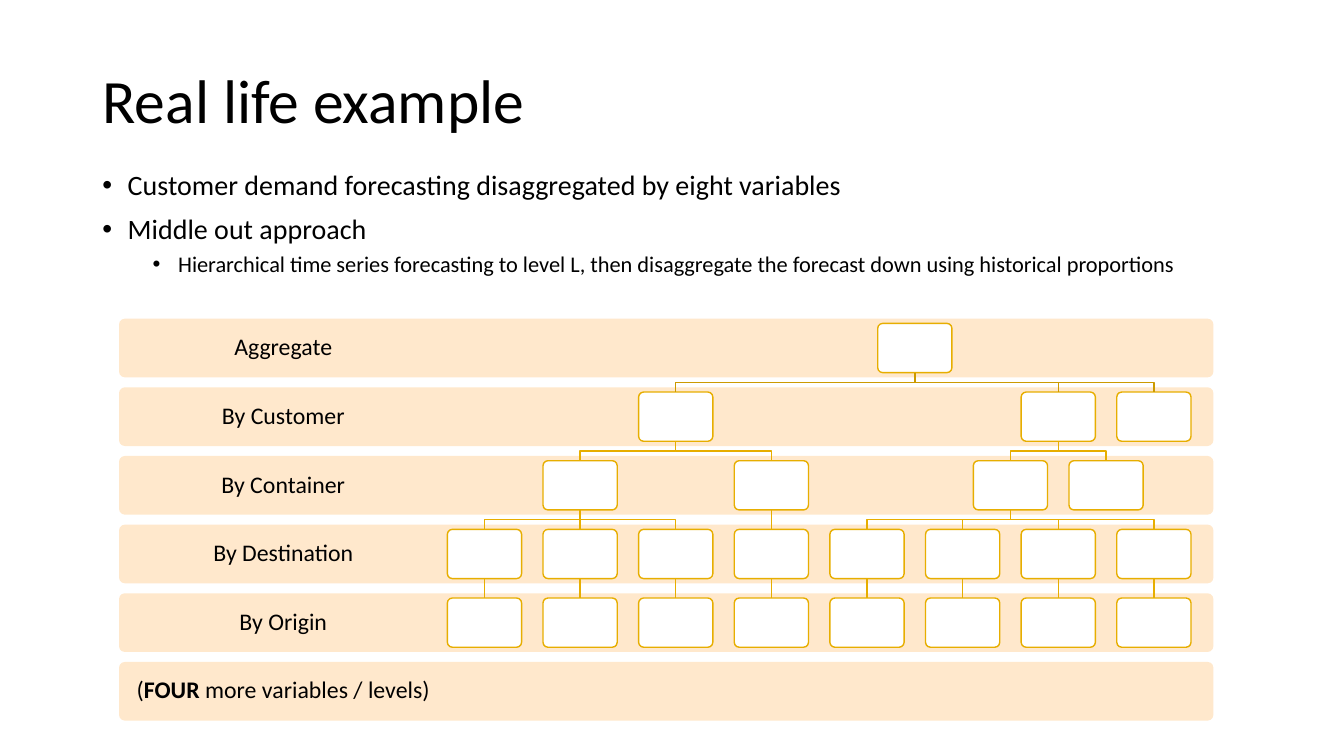
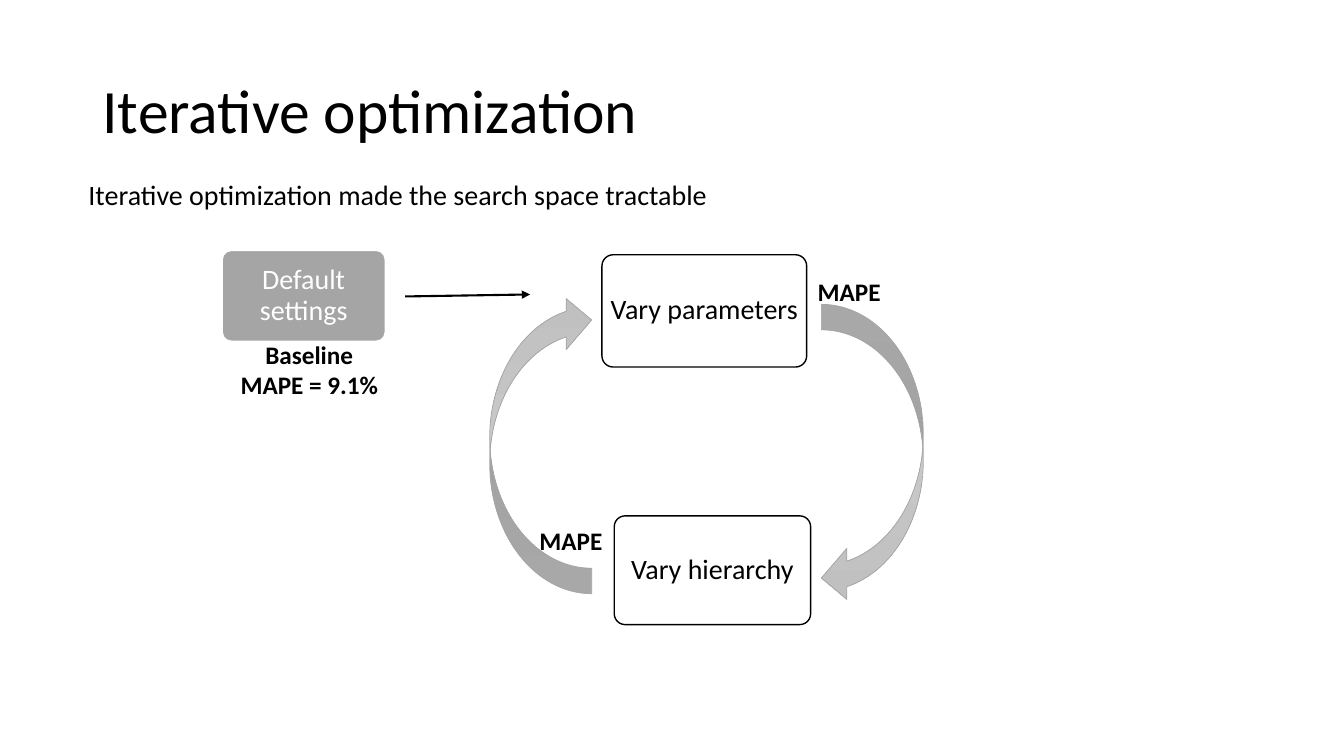
from lxml import etree
from pptx import Presentation
from pptx import util as u
from pptx.dml.color import RGBColor
from pptx.enum import shapes, text
from pptx.oxml import ns

Cm, Pt = u.Cm, u.Pt
FONT = "Calibri"
COLORS = {
    "ink": "000000", "paper": "FFFFFF", "band": "FFE8CC", "gold": "E7AE00",
    "dark_gold": "CC9A00", "gray": "A5A5A5", "light": "D2D2D2", "mid": "C0C0C0",
}

# Each level: label, then node column -> parent column on the level above
LEVELS = [
    ("Aggregate", {4.5: None}),
    ("By Customer", {2: 4.5, 6: 4.5, 7: 4.5}),
    ("By Container", {1: 2, 3: 2, 5.5: 6, 6.5: 6}),
    ("By Destination", {0: 1, 1: 1, 2: 1, 3: 3, 4: 5.5, 5: 5.5, 6: 5.5, 7: 5.5}),
    ("By Origin", {col: col for col in range(8)}),
]
BULLETS = [
    (0, "Customer demand forecasting disaggregated by eight variables"),
    (0, "Middle out approach"),
    (1, "Hierarchical time series forecasting to level L, then disaggregate "
        "the forecast down using historical proportions"),
]

# Hierarchy grid, in cm
BAND = {"left": 3, "top": 8.03, "width": 27.58, "height": 1.48, "pitch": 1.73}
LABEL_WIDTH = 8.28
NODE = {"center": 12.21, "pitch": 2.41, "width": 1.87, "height": 1.24, "drop": 0.12}


# Shared formatting
def rgb(name):
    return RGBColor.from_string(COLORS[name])


def apply(obj, values):
    for key, value in values.items():
        setattr(obj, key, value)


def add_run(p, words, size, color="ink", bold=False):
    r = p.add_run()
    r.text = words
    apply(r.font, {"name": FONT, "size": Pt(size), "bold": bold})
    r.font.color.rgb = rgb(color)


def set_line(sp, color, width=1):
    sp.line.color.rgb = rgb(color)
    sp.line.width = Pt(width)


def add_title_slide(prs, title, height):
    s = prs.slides.add_slide(prs.slide_layouts[5])
    sp = s.shapes.title
    apply(sp, {"left": Cm(2.33), "top": Cm(1.02),
               "width": Cm(29.21), "height": Cm(height)})
    tf = sp.text_frame
    apply(tf, {"vertical_anchor": text.MSO_ANCHOR.MIDDLE, "word_wrap": True,
               "auto_size": text.MSO_AUTO_SIZE.NONE})
    p = tf.paragraphs[0]
    apply(p, {"alignment": text.PP_ALIGN.LEFT, "line_spacing": 0.9})
    add_run(p, title, 44)
    return s


def add_textbox(s, left, top, width, height, wrap=True):
    tf = s.shapes.add_textbox(Cm(left), Cm(top), Cm(width), Cm(height)).text_frame
    tf.word_wrap = wrap
    return tf


def add_bullets(s, items, left, top, width, height):
    tf = add_textbox(s, left, top, width, height)
    for i, (level, words) in enumerate(items):
        p = tf.add_paragraph() if i else tf.paragraphs[0]
        pPr = p._p.get_or_add_pPr()
        pPr.set("marL", str(Cm(0.64 + 1.27 * level)))
        pPr.set("indent", str(-Cm(0.64)))
        etree.SubElement(pPr, ns.qn("a:buFont")).set("typeface", "Arial")
        etree.SubElement(pPr, ns.qn("a:buChar")).set("char", "•")
        apply(p, {"level": level, "line_spacing": 0.9})
        if i:
            p.space_before = Pt(5 if level else 10)
        add_run(p, words, 16 if level else 20)


def add_caption(s, lines, left, top, width, height):
    tf = add_textbox(s, left, top, width, height, wrap=False)
    for i, words in enumerate(lines):
        p = tf.add_paragraph() if i else tf.paragraphs[0]
        p.alignment = text.PP_ALIGN.CENTER
        add_run(p, words, 18, bold=True)


def add_round_box(s, left, top, width, height, fill, line=None, runs=(),
                  size=20, color="ink", margin=0.05, right=None):
    """Rounded box with centred text; runs are (words, bold) pairs."""
    sp = s.shapes.add_shape(shapes.MSO_SHAPE.ROUNDED_RECTANGLE,
                            Cm(left), Cm(top), Cm(width), Cm(height))
    sp.adjustments[0] = 0.1
    sp.shadow.inherit = False
    sp.fill.solid()
    sp.fill.fore_color.rgb = rgb(fill)
    if line:
        set_line(sp, line)
    else:
        sp.line.fill.background()
    tf = sp.text_frame
    apply(tf, {"word_wrap": True, "vertical_anchor": text.MSO_ANCHOR.MIDDLE,
               "margin_left": Cm(margin), "margin_right": Cm(right or margin),
               "margin_top": Cm(margin), "margin_bottom": Cm(margin)})
    p = tf.paragraphs[0]
    apply(p, {"alignment": text.PP_ALIGN.CENTER, "line_spacing": 0.9})
    for words, bold in runs:
        add_run(p, words, size, color, bold)
    return sp


def add_line(s, x1, y1, x2, y2, color, width):
    line = s.shapes.add_connector(shapes.MSO_CONNECTOR.STRAIGHT, x1, y1, x2, y2)
    set_line(line, color, width)
    etree.SubElement(line._element.spPr, ns.qn("a:effectLst"))
    return line


# Hierarchy parts
def add_band(s, row, runs):
    add_round_box(s, BAND["left"], BAND["top"] + row * BAND["pitch"],
                  BAND["width"], BAND["height"], "band", runs=runs, size=17,
                  margin=0.33, right=BAND["width"] - LABEL_WIDTH + 0.33)


def add_node(s, row, col):
    left = NODE["center"] + col * NODE["pitch"] - NODE["width"] / 2
    top = BAND["top"] + row * BAND["pitch"] + NODE["drop"]
    return add_round_box(s, left, top, NODE["width"], NODE["height"], "paper", "gold")


def add_link(s, parent, child, color):
    x1, y1 = parent.left + parent.width // 2, parent.top + parent.height
    x2, y2 = child.left + child.width // 2, child.top
    if abs(x1 - x2) < Cm(0.01):
        line = add_line(s, x1, y1, x2, y2, color, 1)
        line.begin_connect(parent, 2)
        line.end_connect(child, 0)
        return
    middle = (y1 + y2) // 2
    outline = s.shapes.build_freeform(x1, y1)
    outline.add_line_segments([(x1, middle), (x2, middle), (x2, y2)], close=False)
    sp = outline.convert_to_shape()
    sp.fill.background()
    sp.shadow.inherit = False
    set_line(sp, color)


# Cycle parts
def add_curved_arrow(s, left, top, rotation=0):
    sp = s.shapes.add_shape(shapes.MSO_SHAPE.CURVED_LEFT_ARROW,
                            Cm(left), Cm(top), Cm(2.57), Cm(7.54))
    sp.rotation = rotation
    sp.shadow.inherit = False
    sp.fill.gradient()
    sp.fill.gradient_angle = 270
    for stop, color in zip(sp.fill.gradient_stops, ("light", "mid")):
        stop.color.rgb = rgb(color)
    set_line(sp, "gray", 0.5)


# Slides
def build_hierarchy(prs):
    s = add_title_slide(prs, "Real life example", 3.18)
    add_bullets(s, BULLETS, 2.33, 4.19, 29.21, 3.23)
    for row, (label, _) in enumerate(LEVELS):
        add_band(s, row, [(label, False)])
    add_band(s, len(LEVELS), [("(", False), ("FOUR", True),
                              (" more variables / levels)", False)])
    parents = {}
    for row, (_, links) in enumerate(LEVELS):
        nodes = {col: add_node(s, row, col) for col in links}
        for col, parent in links.items():
            if parent is not None:
                add_link(s, parents[parent], nodes[col],
                         "dark_gold" if row == 1 else "gold")
        parents = nodes


def build_cycle(prs):
    s = add_title_slide(prs, "Iterative optimization", 3.68)
    # Steps
    add_round_box(s, 5.6, 6.31, 4.11, 2.29, "gray", "paper",
                  [("Default settings", False)], color="paper")
    add_round_box(s, 15.17, 6.42, 5.16, 2.83, "paper", "ink",
                  [("Vary parameters", False)])
    add_round_box(s, 15.48, 13, 4.95, 2.74, "paper", "ink",
                  [("Vary hierarchy", False)])
    # Captions
    add_caption(s, ["Baseline", "MAPE = 9.1%"], 5.79, 8.43, 4.01, 1.8)
    add_caption(s, ["MAPE"], 20.27, 6.83, 2.26, 1.02)
    add_caption(s, ["MAPE"], 13.26, 13.11, 2.26, 1.02)
    tf = add_textbox(s, 1.98, 4.34, 22.45, 1.96)
    add_run(tf.paragraphs[0],
            "Iterative optimization made the search space tractable", 20)
    # Arrows
    add_curved_arrow(s, 20.7, 7.67)
    add_curved_arrow(s, 12.34, 7.42, rotation=180)
    arrow = add_line(s, Cm(10.21), Cm(7.47), Cm(13.36), Cm(7.42), "ink", 1.5)
    head = etree.SubElement(arrow.line._get_or_add_ln(), ns.qn("a:tailEnd"))
    head.set("type", "triangle")


def main():
    prs = Presentation()
    prs.slide_width, prs.slide_height = Cm(33.87), Cm(19.05)
    build_hierarchy(prs)
    build_cycle(prs)
    prs.save("out.pptx")


if __name__ == "__main__":
    main()
